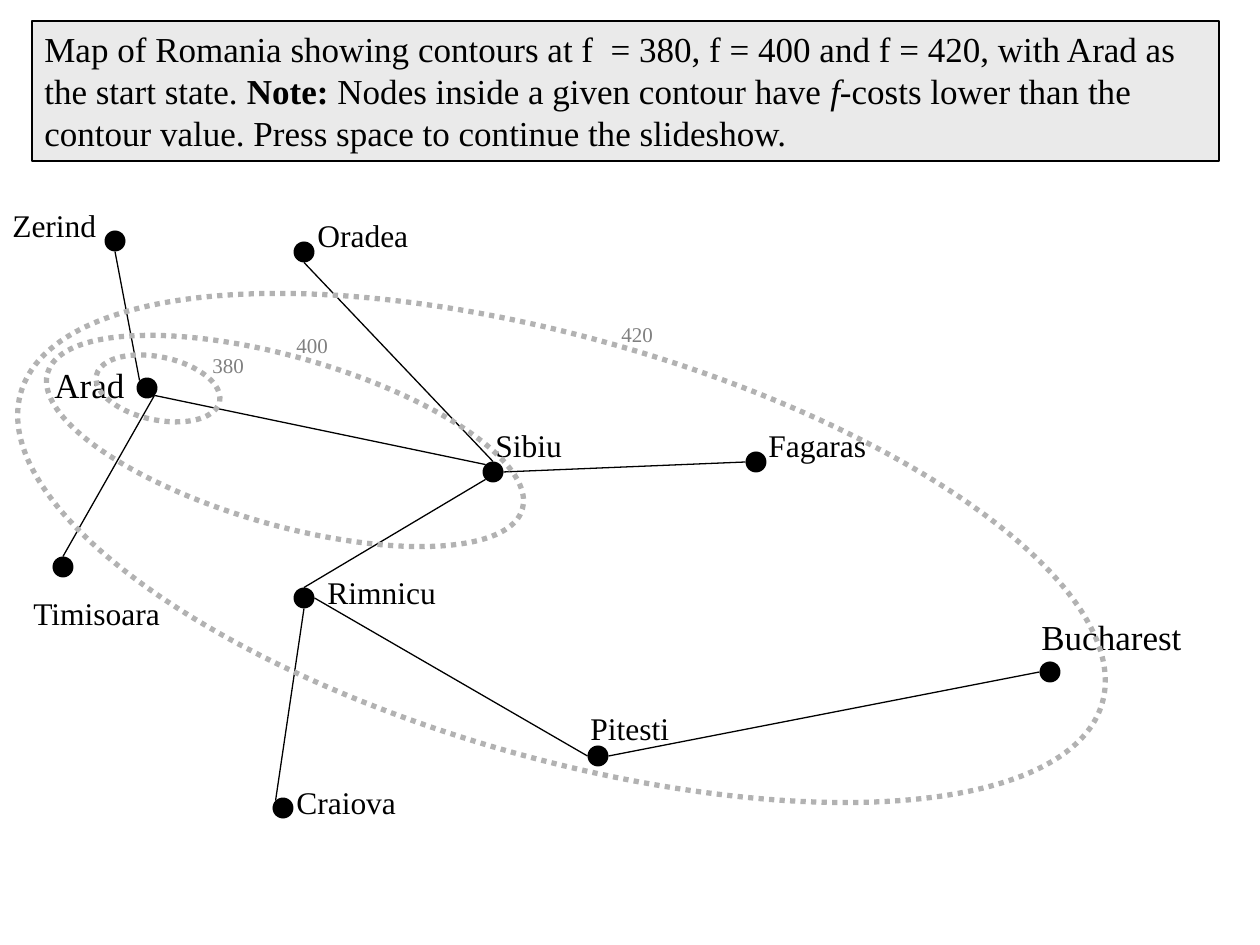
"""Road map of Romania with f-cost contours around Arad."""
import math
from dataclasses import dataclass

from pptx import Presentation
from pptx.dml.color import RGBColor
from pptx.enum.dml import MSO_LINE
from pptx.enum.shapes import MSO_CONNECTOR, MSO_SHAPE
from pptx.enum.text import MSO_ANCHOR, PP_ALIGN
from pptx.oxml.ns import qn
from pptx.util import Inches, Pt
from lxml import etree

OVAL, RECT = MSO_SHAPE.OVAL, MSO_SHAPE.RECTANGLE
STRAIGHT = MSO_CONNECTOR.STRAIGHT
DOTTED = MSO_LINE.ROUND_DOT
LEFT, TOP = PP_ALIGN.LEFT, MSO_ANCHOR.TOP

BLACK = RGBColor(0x00, 0x00, 0x00)
GREY = RGBColor(0x80, 0x80, 0x80)
CONTOUR_GREY = RGBColor(0xB2, 0xB2, 0xB2)
PALE_GREY = RGBColor(0xEA, 0xEA, 0xEA)

FONT = "Times New Roman"
PX = Inches(1) / 126
DOT = 21
COMPASS = {d: math.radians(45 * i) for i, d in
           enumerate(("E", "SE", "S", "SW", "W", "NW", "N", "NE"))}


@dataclass(frozen=True)
class City:
    """A dot by its centre, and the left, top and width of its name."""
    x: int
    y: int
    label_x: int
    label_y: int
    label_w: int
    size: int = 18


@dataclass(frozen=True)
class Road:
    """A line between the rims of two city dots."""
    start: str
    start_side: str
    end: str
    end_side: str


@dataclass(frozen=True)
class Contour:
    """A tilted ellipse, and the place of its value."""
    value: int
    x: int
    y: int
    w: int
    h: int
    tilt: int
    label_x: int
    label_y: int


CITIES = {
    "Bucharest": City(1050, 672, 1029, 609, 178, 20),
    "Fagaras": City(756, 462, 756, 420, 136),
    "Pitesti": City(598, 756, 578, 703, 116),
    "Sibiu": City(493, 472, 483, 420, 116),
    "Rimnicu": City(304, 598, 315, 567, 147),
    "Oradea": City(304, 252, 305, 210, 158),
    "Arad": City(147, 388, 42, 357, 105, 20),
    "Timisoara": City(63, 567, 21, 588, 158),
    "Craiova": City(283, 808, 284, 777, 126),
    "Zerind": City(115, 241, 0, 200, 126),
}
ROADS = [
    Road("Pitesti", "E", "Bucharest", "W"),
    Road("Sibiu", "E", "Fagaras", "W"),
    Road("Rimnicu", "E", "Pitesti", "W"),
    Road("Rimnicu", "N", "Sibiu", "SW"),
    Road("Sibiu", "N", "Oradea", "S"),
    Road("Craiova", "NW", "Rimnicu", "S"),
    Road("Arad", "SE", "Sibiu", "NW"),
    Road("Arad", "SE", "Timisoara", "N"),
    Road("Zerind", "S", "Arad", "NW"),
]
CONTOURS = [
    Contour(380, 95, 357, 126, 63, 12, 200, 346),
    Contour(400, 38, 357, 494, 168, 16, 284, 326),
    Contour(420, -1, 338, 1125, 420, 16, 609, 315),
]
BANNER = [
    ("Map of Romania showing contours at f  = 380, f = 400 and f = 420, "
     "with Arad as the start state. ", False, False),
    ("Note:", True, False),
    (" Nodes inside a given contour have ", False, False),
    ("f", False, True),
    ("-costs lower than the contour value. "
     "Press space to continue the slideshow.", False, False),
]


def emu(*pixels: float) -> list[int]:
    """Turn pixels into EMU."""
    return [round(p * PX) for p in pixels]


def style_paragraph(p, size: int, color: RGBColor) -> None:
    """Set the font and alignment of a paragraph."""
    p.alignment = LEFT
    p.font.name, p.font.size = FONT, Pt(size)
    p.font.color.rgb = color


def add_label(slide, text: str, x: int, y: int, w: int, size: int,
              color: RGBColor = BLACK) -> None:
    """Add a one-line name or value."""
    height = {12: 38, 18: 50, 20: 54}[size]
    tf = slide.shapes.add_textbox(*emu(x, y, w, height)).text_frame
    tf.word_wrap = True
    p = tf.paragraphs[0]
    p.text = text
    style_paragraph(p, size, color)


def add_city(slide, city: City) -> None:
    """Add the black dot of a city."""
    r = DOT / 2
    sp = slide.shapes.add_shape(OVAL, *emu(city.x - r, city.y - r, DOT, DOT))
    sp.shadow.inherit = False
    sp.fill.solid()
    sp.fill.fore_color.rgb = BLACK
    sp.line.fill.background()


def rim_point(name: str, side: str) -> list[int]:
    """Give the point on one side of a city dot."""
    city, angle = CITIES[name], COMPASS[side]
    return emu(city.x + DOT / 2 * math.cos(angle),
               city.y + DOT / 2 * math.sin(angle))


def add_road(slide, road: Road) -> None:
    """Add the line between two cities."""
    line = slide.shapes.add_connector(
        STRAIGHT, *rim_point(road.start, road.start_side),
        *rim_point(road.end, road.end_side))
    line.line.color.rgb = BLACK
    line.line.width = Pt(0.75)
    etree.SubElement(line._element.spPr, qn("a:effectLst"))


def add_contour(slide, c: Contour) -> None:
    """Add a dotted, unfilled ellipse."""
    sp = slide.shapes.add_shape(OVAL, *emu(c.x, c.y, c.w, c.h))
    sp.shadow.inherit = False
    sp.rotation = c.tilt
    sp.fill.background()
    sp.line.color.rgb = CONTOUR_GREY
    sp.line.width = Pt(3)
    sp.line.dash_style = DOTTED


def add_banner(slide) -> None:
    """Add the boxed explanation at the top."""
    sp = slide.shapes.add_shape(RECT, *emu(32, 21, 1187, 140))
    sp.shadow.inherit = False
    sp.fill.solid()
    sp.fill.fore_color.rgb = PALE_GREY
    sp.line.color.rgb = BLACK
    sp.line.width = Pt(0.75)
    tf = sp.text_frame
    tf.word_wrap, tf.vertical_anchor = True, TOP
    p = tf.paragraphs[0]
    style_paragraph(p, 20, BLACK)
    for text, bold, italic in BANNER:
        r = p.add_run()
        r.text = text
        r.font.bold, r.font.italic = bold, italic
        # The shape style would otherwise tint the runs white.
        r.font.color.rgb = BLACK


def main() -> None:
    """Build and save the slide."""
    prs = Presentation()
    prs.slide_width, prs.slide_height = Inches(10), Inches(7.5)
    slide = prs.slides.add_slide(prs.slide_layouts.get_by_name("Blank"))
    for city in CITIES.values():
        add_city(slide, city)
    for road in ROADS:
        add_road(slide, road)
    for name, city in CITIES.items():
        add_label(slide, name, city.label_x, city.label_y, city.label_w,
                  city.size)
    for contour in CONTOURS:
        add_contour(slide, contour)
    add_banner(slide)
    for c in CONTOURS:
        add_label(slide, str(c.value), c.label_x, c.label_y, 63, 12, GREY)
    prs.save("out.pptx")


main()
